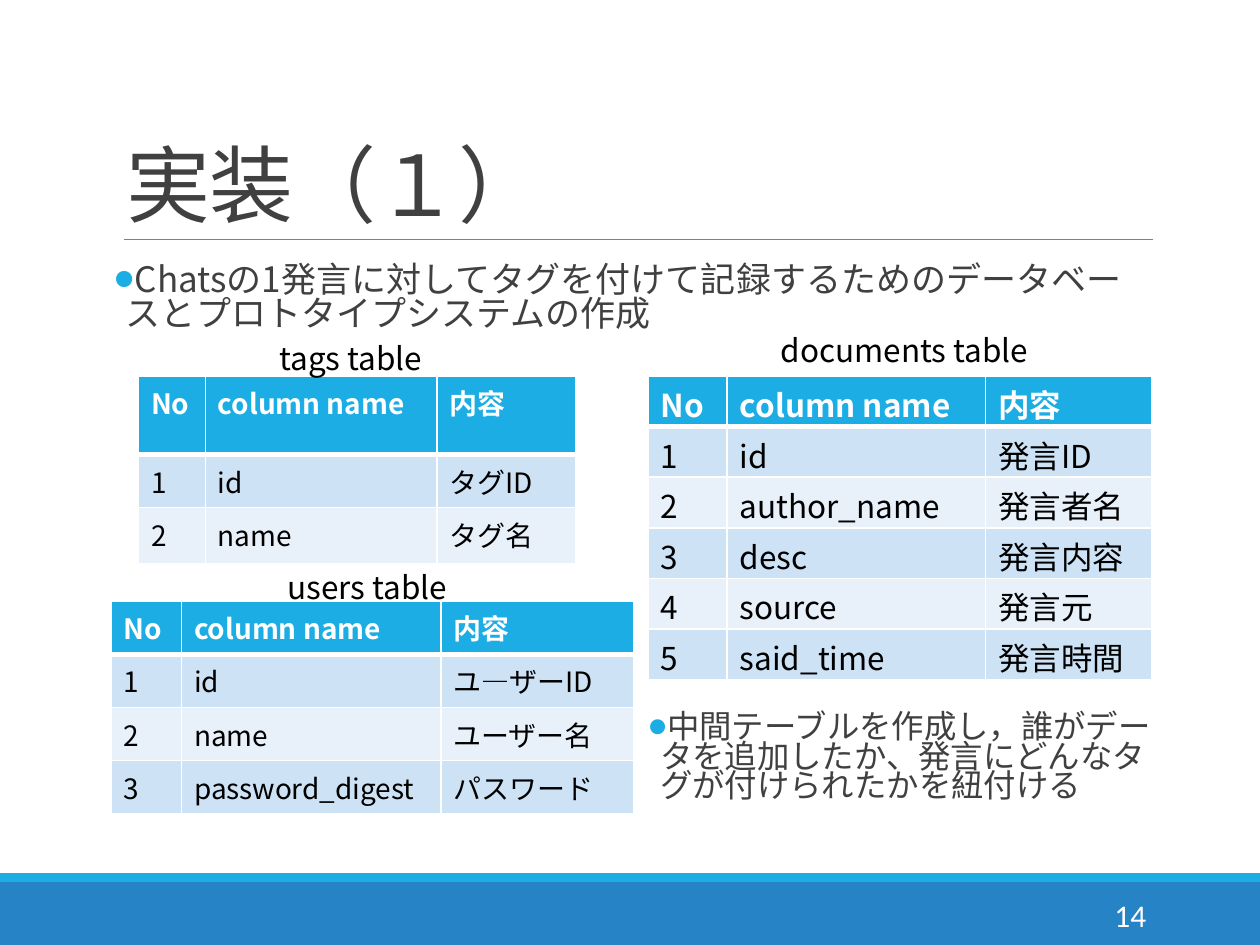
from lxml import etree
from pptx import Presentation
from pptx import util as u
from pptx.dml import color
from pptx.enum import shapes, text
from pptx.oxml import ns

SANS = "Noto Sans CJK JP"
BLUE, CYAN, DARK, BLACK, WHITE = "2683C6", "1CADE4", "404040", "000000", "FFFFFF"
BANDS = ("CDE3F5", "E8F1FA")


def rgb(value):
    """Turn a hex string into a colour."""
    return color.RGBColor.from_string(value)


def apply(target, values):
    """Set each named attribute on the target."""
    for key, value in values.items():
        setattr(target, key, value)


def add_node(parent, tag, **attributes):
    """Append a drawing element to its parent."""
    return etree.SubElement(parent, ns.qn(tag), attributes)


class Deck:
    """Holds the style and the current slide."""

    def __init__(self, width, height):
        """Start a presentation with one title-only slide."""
        self.show = Presentation()
        apply(self.show, {"slide_width": u.Cm(width), "slide_height": u.Cm(height)})
        self.slide = self.show.slides.add_slide(self.show.slide_layouts[5])

    def add_words(self, paragraph, words, size, ink, font=SANS, bold=False):
        """Add one formatted run."""
        run = paragraph.add_run()
        run.text = words
        apply(run.font, {"size": u.Pt(size), "name": font, "bold": bold})
        run.font.color.rgb = rgb(ink)
        properties = run._r.get_or_add_rPr()
        add_node(properties, "a:ea", typeface=font)
        return properties

    def title(self, words, left, top, width, height):
        """Place and format the title placeholder."""
        heading = self.slide.shapes.title
        apply(heading, dict(left=u.Cm(left), top=u.Cm(top),
                            width=u.Cm(width), height=u.Cm(height)))
        apply(heading.text_frame, {
            "vertical_anchor": text.MSO_ANCHOR.BOTTOM,
            "auto_size": text.MSO_AUTO_SIZE.NONE, "word_wrap": True})
        paragraph = heading.text_frame.paragraphs[0]
        apply(paragraph, {"alignment": text.PP_ALIGN.LEFT, "line_spacing": 0.85})
        self.add_words(paragraph, words, 48, DARK).set("spc", "-50")

    def band(self, top, height, fill):
        """Draw a full-width footer band."""
        strip = self.slide.shapes.add_shape(
            shapes.MSO_SHAPE.RECTANGLE, 0, u.Cm(top), self.show.slide_width, u.Cm(height))
        strip.shadow.inherit = False
        strip.fill.solid()
        strip.fill.fore_color.rgb = rgb(fill)
        strip.line.fill.background()

    def rule(self, left, right, top):
        """Draw the thin line under the title."""
        rule = self.slide.shapes.add_connector(
            shapes.MSO_CONNECTOR.STRAIGHT, u.Cm(left), u.Cm(top), u.Cm(right), u.Cm(top))
        rule.line.width = u.Pt(0.5)
        rule.line.color.rgb = rgb("808080")
        add_node(rule._element.spPr, "a:effectLst")

    def label(self, words, left, top, width, height=1.02, size=18, ink=BLACK,
              font=SANS, align=text.PP_ALIGN.LEFT, anchor=text.MSO_ANCHOR.TOP):
        """Add a one-line text box."""
        box = self.slide.shapes.add_textbox(u.Cm(left), u.Cm(top), u.Cm(width), u.Cm(height))
        apply(box.text_frame, {"word_wrap": True, "vertical_anchor": anchor})
        paragraph = box.text_frame.paragraphs[0]
        paragraph.alignment = align
        self.add_words(paragraph, words, size, ink, font)

    def bullet(self, words, left, top, width, height, size, spacing):
        """Add a text box with one bulleted paragraph."""
        box = self.slide.shapes.add_textbox(u.Cm(left), u.Cm(top), u.Cm(width), u.Cm(height))
        apply(box.text_frame, {"word_wrap": True, "margin_left": 0, "margin_right": 0})
        paragraph = box.text_frame.paragraphs[0]
        properties = paragraph._p.get_or_add_pPr()
        indent = u.Cm(0.25)
        properties.set("marL", str(indent))
        properties.set("indent", str(-indent))
        add_node(add_node(properties, "a:buClr"), "a:srgbClr", val=CYAN)
        add_node(properties, "a:buFont", typeface="Calibri")
        add_node(properties, "a:buChar", char="●")
        apply(paragraph, {"line_spacing": spacing, "space_after": u.Pt(2)})
        self.add_words(paragraph, words, size, DARK)

    def cell(self, cell, words, row, size, margins):
        """Fill, border and letter one table cell."""
        header = row == 0
        apply(cell, margins)
        properties = cell._tc.get_or_add_tcPr()
        for side in "LRTB":
            heavy = (header and side == "B") or (row == 1 and side == "T")
            border = add_node(properties, "a:ln" + side, w=str(u.Pt(3 if heavy else 1)))
            add_node(add_node(border, "a:solidFill"), "a:srgbClr", val=WHITE)
        cell.fill.solid()
        cell.fill.fore_color.rgb = rgb(CYAN if header else BANDS[(row - 1) % 2])
        self.add_words(cell.text_frame.paragraphs[0], words, size,
                       WHITE if header else BLACK, bold=header)

    def table(self, fields, left, top, widths, heights, size=16, **margins):
        """Add a numbered table of column names and meanings."""
        rows = [("No", "column name", "内容")]
        rows += [(str(number), *field) for number, field in enumerate(fields, 1)]
        grid = self.slide.shapes.add_table(
            len(rows), len(widths), u.Cm(left), u.Cm(top),
            u.Cm(sum(widths)), u.Cm(sum(heights))).table
        for column, width in zip(grid.columns, widths):
            column.width = u.Cm(width)
        for row, (values, height) in enumerate(zip(rows, heights)):
            grid.rows[row].height = u.Cm(height)
            for column, words in enumerate(values):
                self.cell(grid.cell(row, column), words, row, size, margins)


def main():
    """Build the database design slide."""
    deck = Deck(25.4, 19.05)
    deck.band(17.78, 1.27, BLUE)
    deck.band(17.6, 0.18, CYAN)
    deck.rule(2.49, 23.24, 4.82)
    deck.title("実装（１）", 2.29, 0.79, 20.95, 4.04)
    deck.bullet("Chatsの1発言に対してタグを付けて記録するためのデータベースとプロトタイプシステムの作成",
                2.29, 5.21, 20.95, 2, 20, 0.82)
    deck.label("14", 20.62, 17.93, 2.74, ink=WHITE, font="Calibri",
               align=text.PP_ALIGN.RIGHT, anchor=text.MSO_ANCHOR.MIDDLE)

    users = [("id", "ユ―ザーID"), ("name", "ユーザー名"), ("password_digest", "パスワード")]
    tags = [("id", "タグID"), ("name", "タグ名")]
    documents = [("id", "発言ID"), ("author_name", "発言者名"), ("desc", "発言内容"),
                 ("source", "発言元"), ("said_time", "発言時間")]
    deck.table(users, 2.24, 12.12, (1.42, 5.23, 3.88), [1.07] * 4)
    deck.table(tags, 2.79, 7.58, (1.35, 4.67, 2.79), (1.58, 1.07, 1.13))
    deck.label("users table", 5.54, 11.33, 3.94)
    deck.label("tags table", 5.38, 6.7, 3.61)
    deck.label("documents table", 15.49, 6.55, 5.72)
    deck.table(documents, 13.06, 7.58, (1.6, 5.21, 3.35), [1.02] * 6, size=18,
               margin_top=u.Cm(0.1), margin_bottom=0)

    deck.bullet("中間テーブルを作成し，誰がデータを追加したか、発言にどんなタグが付けられたかを紐付ける",
                13.06, 14.3, 10.2, 2.69, 18.5, 0.75)
    deck.show.save("out.pptx")


if __name__ == "__main__":
    main()
